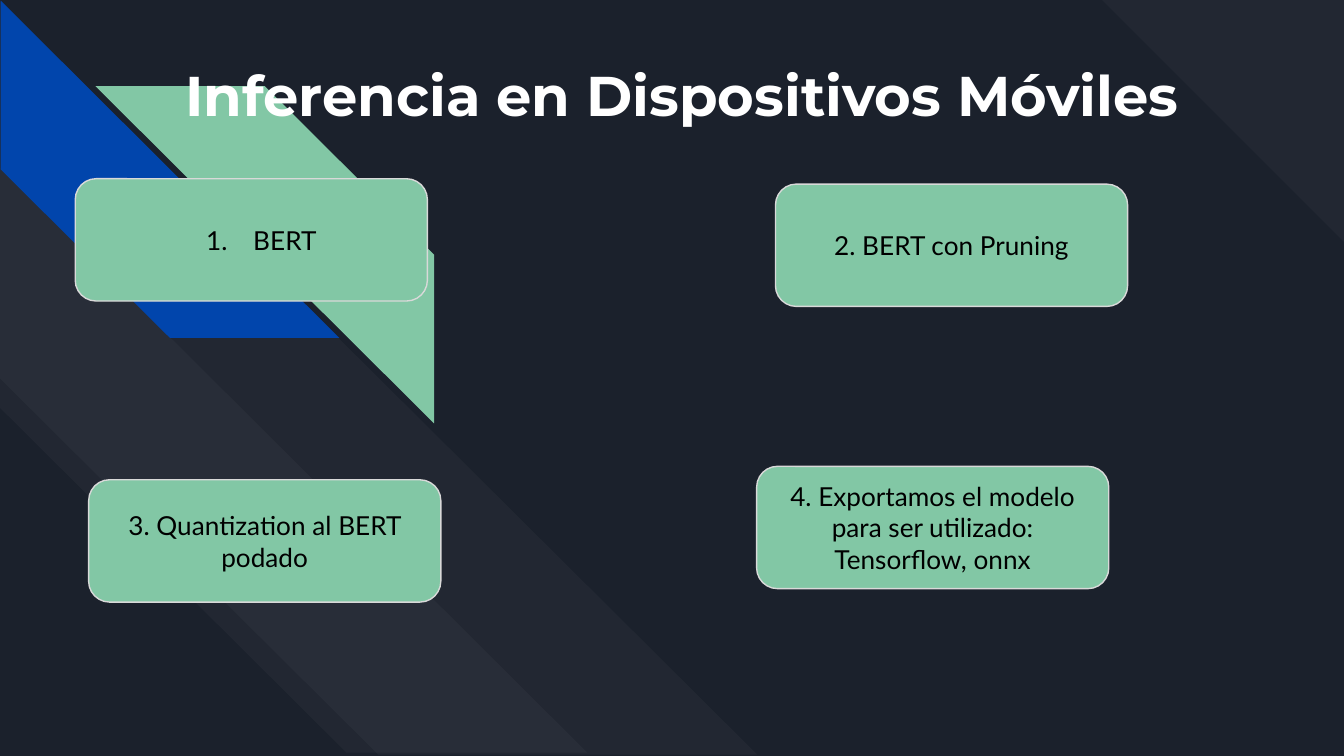
from dataclasses import dataclass
from lxml.etree import SubElement
from pptx import Presentation
from pptx.dml.color import RGBColor
from pptx.enum.shapes import MSO_SHAPE
from pptx.enum.text import MSO_ANCHOR, MSO_AUTO_SIZE, PP_ALIGN
from pptx.oxml.ns import qn
from pptx.util import Inches, Pt


@dataclass(frozen=True)
class Theme:
    back: str = "1B212C"
    white: str = "FFFFFF"
    blue: str = "0145AC"
    mint: str = "82C7A5"
    edge: str = "D9D9D9"
    ink: str = "000000"
    head: str = "Montserrat"
    body: str = "Lato"
    large: int = 30
    small: int = 14
    veil: int = 3


THEME = Theme()


def rgb(code):
    return RGBColor.from_string(code)


def style(para, name, size, color, bold=False):
    para.alignment = PP_ALIGN.CENTER
    para.font.name = name
    para.font.size = Pt(size)
    para.font.bold = bold
    para.font.color.rgb = rgb(color)


def inset(frame):
    frame.word_wrap = True
    frame.margin_left = frame.margin_right = Inches(0.1)
    frame.margin_top = frame.margin_bottom = Inches(0.1)


def add_shape(slide, kind, box, color, ratio):
    shape = slide.shapes.add_shape(kind, *map(Inches, box))
    shape.shadow.inherit = False
    shape.adjustments[0] = ratio
    shape.fill.solid()
    shape.fill.fore_color.rgb = rgb(color)
    return shape


def add_stripe(slide, box, color, ratio, turn=0, alpha=None):
    stripe = add_shape(slide, MSO_SHAPE.DIAGONAL_STRIPE, box, color, ratio)
    stripe.line.fill.background()
    stripe.rotation = turn
    if alpha:
        tone = stripe.element.spPr.find(qn("a:solidFill"))[0]
        SubElement(tone, qn("a:alpha"), val=str(alpha * 1000))
    return stripe


def add_decor(slide, left, top, wide):
    white, veil = THEME.white, THEME.veil
    edge = left + 0.01
    add_stripe(slide, (left + wide - 1.8, top, 1.8, 1.8), white, 0, 90, veil)
    add_stripe(slide, (edge, top - 0.01, 5.61, 5.64), white, 0.5, 270, veil)
    add_stripe(slide, (edge, top + 1.24, 4.35, 4.37), white, 0.59, 270, veil)
    add_stripe(slide, (edge, top, 2.51, 2.52), THEME.blue, 0.5, 270)
    mint = add_stripe(slide, (left + 0.71, top + 0.64, 2.52, 2.51), THEME.mint, 0.5)
    mint.element.spPr.find(qn("a:xfrm")).set("flipH", "1")


def add_title(slide, box, text):
    title = slide.shapes.title
    title.left, title.top, title.width, title.height = map(Inches, box)
    frame = title.text_frame
    frame.text = text
    inset(frame)
    frame.auto_size = MSO_AUTO_SIZE.NONE
    frame.vertical_anchor = MSO_ANCHOR.TOP
    style(frame.paragraphs[0], THEME.head, THEME.large, THEME.white, True)
    title.element.getparent().append(title.element)


def number(para):
    props = para._p.get_or_add_pPr()
    props.set("marL", str(Inches(0.5)))
    props.set("indent", str(Inches(-0.35)))
    tint = SubElement(props, qn("a:buClr"))
    SubElement(tint, qn("a:srgbClr"), val=THEME.ink)
    SubElement(props, qn("a:buFont"), typeface=THEME.body)
    SubElement(props, qn("a:buAutoNum"), type="arabicPeriod")


def add_card(slide, box, text, listed=False):
    card = add_shape(slide, MSO_SHAPE.ROUNDED_RECTANGLE, box, THEME.mint, 0.17)
    card.line.color.rgb = rgb(THEME.edge)
    card.line.width = Pt(0.75)
    frame = card.text_frame
    frame.text = text
    inset(frame)
    frame.vertical_anchor = MSO_ANCHOR.MIDDLE
    para = frame.paragraphs[0]
    if listed:
        number(para)
    style(para, THEME.body, THEME.small, THEME.ink)


def add_cards(slide, left, top):
    cards = [
        (0, 0, "BERT", True),
        (5.21, 0.04, "2. BERT con Pruning", False),
        (0.1, 2.24, "3. Quantization al BERT podado", False),
        (5.07, 2.14, "4. Exportamos el modelo para ser utilizado: Tensorflow, onnx", False),
    ]
    for x, y, text, listed in cards:
        add_card(slide, (left + x, top + y, 2.62, 0.91), text, listed)


def main():
    wide = 10
    deck = Presentation()
    deck.slide_width = Inches(wide)
    deck.slide_height = deck.slide_width * 9 // 16
    slide = deck.slides.add_slide(deck.slide_layouts[5])
    slide.background.fill.solid()
    slide.background.fill.fore_color.rgb = rgb(THEME.back)
    add_decor(slide, 0, 0, wide)
    add_title(slide, (0.88, 0.35, 8.39, 0.96), "Inferencia en Dispositivos Móviles")
    add_cards(slide, 0.56, 1.33)
    deck.save("out.pptx")


if __name__ == "__main__":
    main()
